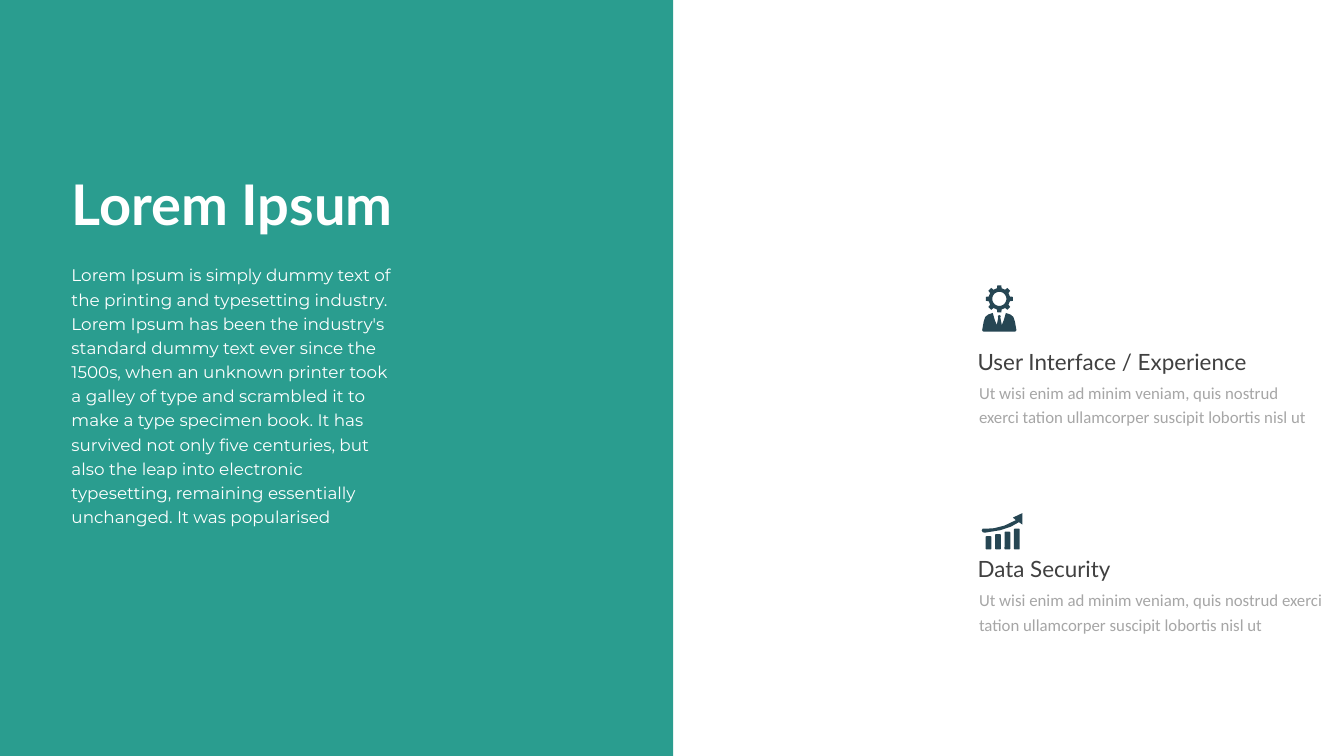
import math
import pptx
import pptx.util
import pptx.dml.color
import pptx.enum.shapes
import pptx.enum.text

Inches = pptx.util.Inches
RGBColor = pptx.dml.color.RGBColor

TEAL = RGBColor(0x2A, 0x9D, 0x8F)
NAVY = RGBColor(0x26, 0x46, 0x53)
WHITE = RGBColor(0xFF, 0xFF, 0xFF)
DARK_GRAY = RGBColor(0x40, 0x40, 0x40)
LIGHT_GRAY = RGBColor(0xA6, 0xA6, 0xA6)

presentation = pptx.Presentation()
presentation.slide_width = Inches(26.67)
presentation.slide_height = Inches(15)
slide = presentation.slides.add_slide(presentation.slide_layouts[6])


def add_text(text, left, top, width, height, font_name, size, color, spacing=1.0, bold=False):
    box = slide.shapes.add_textbox(Inches(left), Inches(top), Inches(width), Inches(height))
    frame = box.text_frame
    frame.word_wrap = True
    frame.auto_size = pptx.enum.text.MSO_AUTO_SIZE.SHAPE_TO_FIT_TEXT
    paragraph = frame.paragraphs[0]
    paragraph.line_spacing = spacing
    run = paragraph.add_run()
    run.text = text
    run.font.name = font_name
    run.font.size = pptx.util.Pt(size)
    run.font.bold = bold
    run.font.color.rgb = color


def paint(shape, color):
    shape.shadow.inherit = False
    shape.fill.solid()
    shape.fill.fore_color.rgb = color
    shape.line.fill.background()


# Left panel
panel = slide.shapes.add_shape(
    pptx.enum.shapes.MSO_SHAPE.RECTANGLE, 0, 0, Inches(13.36), Inches(15))
paint(panel, TEAL)

# Title and introduction
add_text("Lorem Ipsum", 1.32, 3.57, 9.2, 1.2, "Lato", 80, WHITE, 0.8, True)
add_text(
    "Lorem Ipsum is simply dummy text of the printing and typesetting industry. "
    "Lorem Ipsum has been the industry's standard dummy text ever since the 1500s, "
    "when an unknown printer took a galley of type and scrambled it to make a type "
    "specimen book. It has survived not only five centuries, but also the leap into "
    "electronic typesetting, remaining essentially unchanged. It was popularised",
    1.32, 5.13, 6.61, 5.39, "Montserrat", 24, WHITE, 1.2)

# Feature headings and descriptions
description = ("Ut wisi enim ad minim veniam, quis nostrud exerci tation "
               "ullamcorper suscipit lobortis nisl ut")
features = [
    ("User Interface / Experience", 6.86, 7.03, 6.99),
    ("Data Security", 10.97, 4.42, 7.33),
]
for heading, top, heading_width, description_width in features:
    add_text(description, 19.33, top + 0.61, description_width, 1.04,
             "Calibri", 24, LIGHT_GRAY, 1.2)
    add_text(heading, 19.3, top, heading_width, 0.64, "Lato", 32, DARK_GRAY)

# Growth icon: four bars on one baseline
growth_icon = slide.shapes.add_group_shape()
for index, bar_top in enumerate([10.64, 10.6, 10.55, 10.49]):
    bar = growth_icon.shapes.add_shape(
        pptx.enum.shapes.MSO_SHAPE.ROUNDED_RECTANGLE,
        Inches(19.56 + index * 0.187), Inches(bar_top), Inches(0.115), Inches(10.9 - bar_top))
    bar.adjustments[0] = 0.14
    paint(bar, NAVY)

# Outlines of the rising arrow and of the person with a gear head
arrow = [
    (19.53, 10.49), (19.58, 10.49), (19.73, 10.48), (19.93, 10.43), (20.16, 10.32),
    (20.1, 10.27), (20.29, 10.18), (20.29, 10.41), (20.22, 10.36), (20.06, 10.45),
    (19.85, 10.52), (19.54, 10.57), (19.5, 10.56), (19.48, 10.52), (19.5, 10.49),
]
bust = [
    (19.83, 6.25), (19.8, 6.27), (19.81, 6.3), (19.78, 6.45), (19.74, 6.35), (19.7, 6.21),
    (19.61, 6.24), (19.55, 6.29), (19.52, 6.38), (19.49, 6.55), (19.5, 6.57), (19.52, 6.58),
    (20.14, 6.58), (20.16, 6.57), (20.17, 6.55), (20.14, 6.38), (20.11, 6.29), (20.05, 6.24),
    (19.96, 6.21), (19.92, 6.35), (19.88, 6.45), (19.85, 6.3), (19.86, 6.27),
]
gear_polar = [
    (radius, tooth * 45 + offset)
    for tooth in range(8)
    for radius, offset in [(0.215, -12.5), (0.27, -8.5), (0.27, 8.5), (0.215, 12.5)]
]
hole_polar = [(0.14, -step * 10) for step in range(36)]
gear, hole = [
    [(19.83 + radius * math.cos(math.radians(angle)),
      5.93 + radius * math.sin(math.radians(angle))) for radius, angle in polar]
    for polar in (gear_polar, hole_polar)
]

for shapes, contours in [(growth_icon.shapes, [arrow]), (slide.shapes, [bust, gear, hole])]:
    outlines = [[(Inches(x), Inches(y)) for x, y in contour] for contour in contours]
    builder = shapes.build_freeform(*outlines[0][0])
    builder.add_line_segments(outlines[0][1:], close=True)
    for outline in outlines[1:]:
        builder.move_to(*outline[0])
        builder.add_line_segments(outline[1:], close=True)
    paint(builder.convert_to_shape(), NAVY)

presentation.save("out.pptx")
